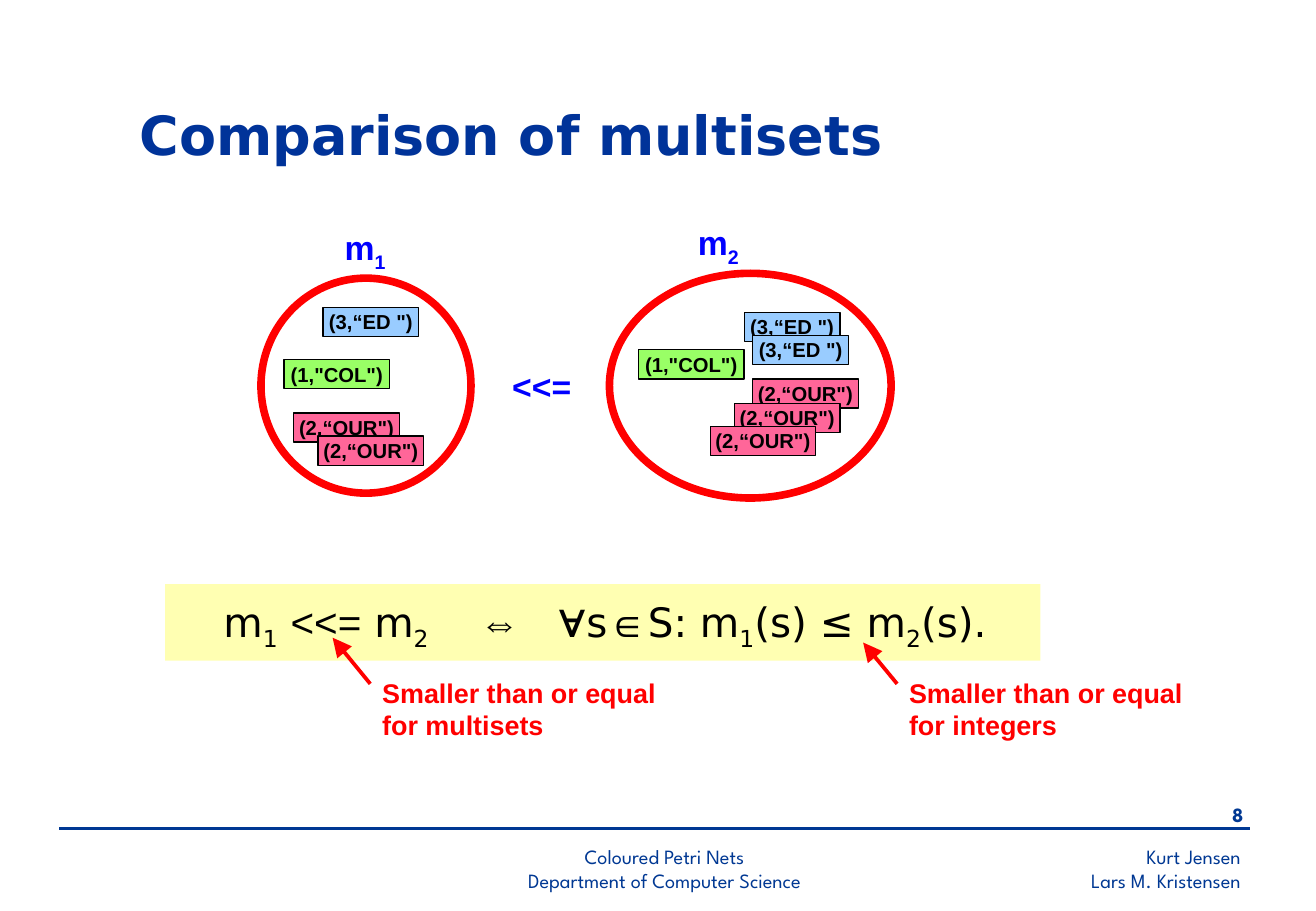
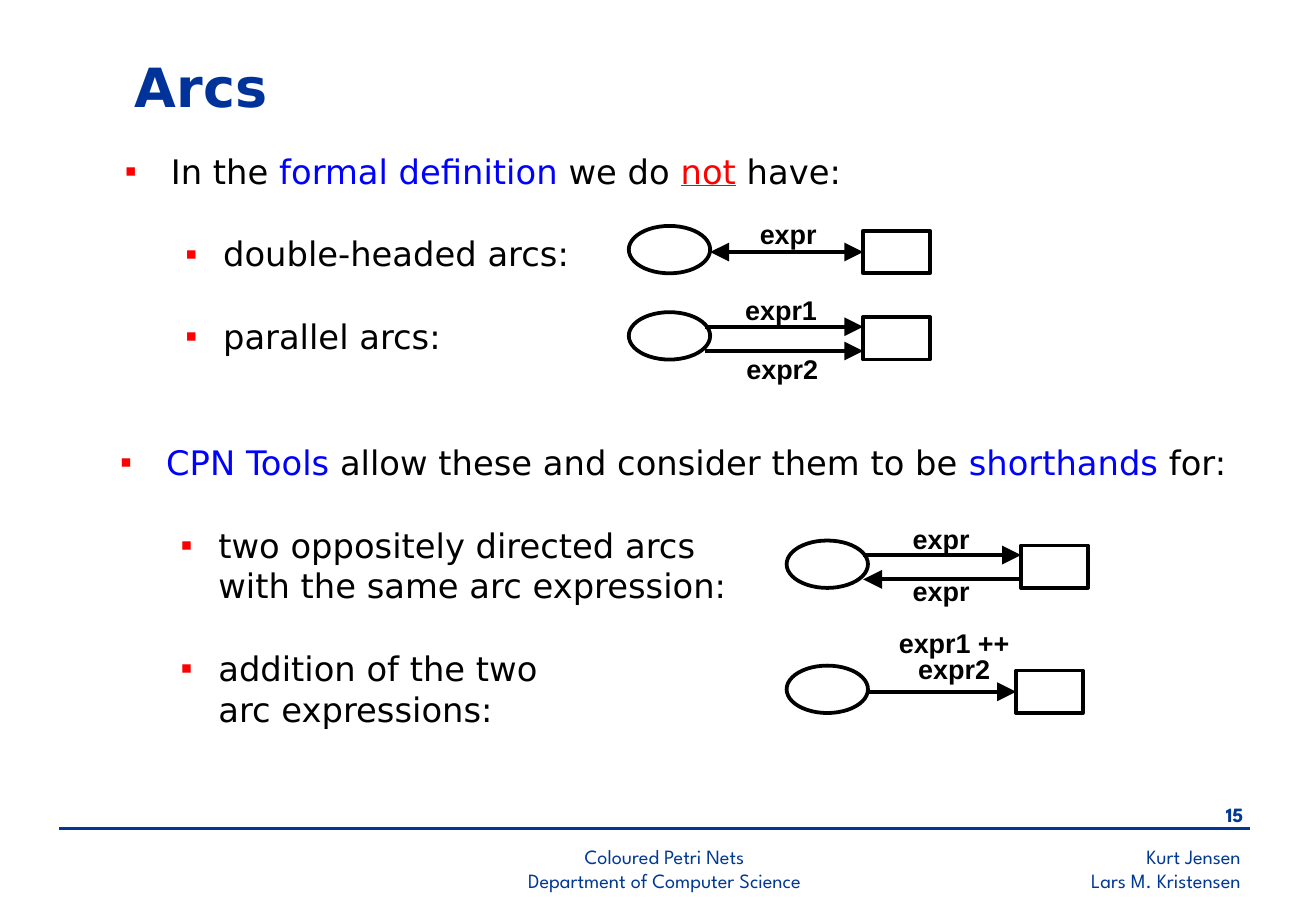
import dataclasses
import typing

import lxml.etree
import pptx
import pptx.dml.color
import pptx.enum.shapes
import pptx.enum.text
import pptx.oxml.ns
import pptx.util

SHAPE = pptx.enum.shapes.MSO_SHAPE
ALIGN = pptx.enum.text.PP_ALIGN
ANCHOR = pptx.enum.text.MSO_ANCHOR
qn = pptx.oxml.ns.qn

# Grid of square cells, 0.1 inch each: 108.4 columns by 75 rows
COLS, ROWS = 108.4, 75


@dataclasses.dataclass(frozen=True)
class Theme:
    navy: str = "003893"
    head: str = "003399"
    blue: str = "0000FF"
    red: str = "FF0000"
    black: str = "000000"
    lemon: str = "FFFF66"
    green: str = "99FF66"
    pink: str = "FF6699"
    sky: str = "99CCFF"
    sans: str = "DejaVu Sans"
    label: str = "Arial"
    foot: str = "League Spartan"
    title_size: int = 32
    rule_size: int = 24
    text_size: int = 20
    note_size: int = 16
    small_size: int = 12


T = Theme()
TITLE = dict(name=T.sans, size=T.title_size, bold=True, ink=T.head)
FOOT = dict(name=T.foot, size=T.small_size, ink=T.navy)
TOKEN = dict(name=T.label, size=T.small_size, bold=True, ink=T.black)
SIGN = dict(name=T.label, size=T.text_size, bold=True, ink=T.blue)
NOTE = dict(name=T.label, size=T.note_size, bold=True, ink=T.red)
EXPR = NOTE | dict(ink=T.black)
LIST = dict(name=T.sans, size=T.text_size, ink=T.black)
RULE = dict(name=T.sans, size=T.rule_size, ink=T.black)
SUB = dict(base=-25000)


class Box(typing.NamedTuple):
    x: float
    y: float
    w: float
    h: float


class Run(typing.NamedTuple):
    text: str
    fmt: dict[str, typing.Any] = {}


class Kind(typing.NamedTuple):
    text: str
    width: float
    fill: str


class Token(typing.NamedTuple):
    kind: Kind
    x: float
    y: float


class Bag(typing.NamedTuple):
    ring: Box
    digit: str
    name: Box
    tokens: list[Token]


class Call(typing.NamedTuple):
    text: str
    x: float
    tip: tuple[float, float]


class Arc(typing.NamedTuple):
    """An arc of a net; without a row it runs between the middles."""
    row: float | None = None
    head: bool = False
    tail: bool = True


class Tag(typing.NamedTuple):
    text: str
    box: Box
    fmt: dict[str, typing.Any] = {}


class Net(typing.NamedTuple):
    x: float
    y: float
    arcs: list[Arc]
    tags: list[Tag]
    gap: float = 19.3


def cell(count: float) -> pptx.util.Length:
    return pptx.util.Inches(round(count / 10, 3))


def place(box: Box) -> list[pptx.util.Length]:
    return [cell(side) for side in box]


def tint(code: str) -> pptx.dml.color.RGBColor:
    return pptx.dml.color.RGBColor.from_string(code)


def add(parent, tag: str, **attrs: str):
    node = lxml.etree.SubElement(parent, qn(tag))
    for key, value in attrs.items():
        node.set(key, value)
    return node


def style(run, fmt: dict[str, typing.Any]) -> None:
    for key, value in fmt.items():
        if key == "ink":
            run.font.color.rgb = tint(value)
        elif key == "base":
            run.font._element.set("baseline", str(value))
        else:
            setattr(run.font, key, pptx.util.Pt(value) if key == "size" else value)


def write(para, runs: list[Run], fmt: dict[str, typing.Any], **form) -> None:
    for key, value in form.items():
        setattr(para, key, value)
    for item in runs:
        for row, text in enumerate(item.text.split("\n")):
            if row:
                para.add_line_break()
            run = para.add_run()
            run.text = text
            style(run, fmt | item.fmt)


def text_box(shapes, box: Box, lines: list[list[Run]], fmt: dict, **form):
    frame = shapes.add_textbox(*place(box)).text_frame
    frame.word_wrap = True
    for row, runs in enumerate(lines):
        para = frame.add_paragraph() if row else frame.paragraphs[0]
        write(para, runs, fmt, **form)
    return frame


def shape(shapes, kind, box: Box, fill: str | None, ink: str | None, width: float = 0):
    item = shapes.add_shape(kind, *place(box))
    item.shadow.inherit = False
    if fill:
        item.fill.solid()
        item.fill.fore_color.rgb = tint(fill)
    else:
        item.fill.background()
    if ink:
        item.line.color.rgb = tint(ink)
        item.line.width = pptx.util.Pt(width)
    else:
        item.line.fill.background()
    return item


def line(shapes, start, end, ink: str, width: float, head=False, tail=False):
    item = shapes.add_connector(pptx.enum.shapes.MSO_CONNECTOR.STRAIGHT,
                                *map(cell, (*start, *end)))
    item.line.color.rgb = tint(ink)
    item.line.width = pptx.util.Pt(width)
    form = item._element.spPr
    for tag, shown in (("a:headEnd", head), ("a:tailEnd", tail)):
        if shown:
            add(form.find(qn("a:ln")), tag, type="triangle", w="lg", len="lg")
    add(form, "a:effectLst")
    return item


def new_slide(deck, title: str, box: Box, page: int):
    """Add a slide with its title, footer rule, footer text and page number."""
    slide = deck.slides.add_slide(deck.slide_layouts[5])
    head = slide.shapes.title
    head.left, head.top, head.width, head.height = place(box)
    head.text_frame.vertical_anchor = ANCHOR.MIDDLE
    write(head.text_frame.paragraphs[0], [Run(title)], TITLE, alignment=ALIGN.LEFT)
    line(slide.shapes, (4.9, 68.2), (103, 68.2), T.navy, 1.5)
    text_box(slide.shapes, Box(96.3, 65.6, 7.1, 3.3), [[Run(str(page))]],
             FOOT | dict(bold=True), alignment=ALIGN.RIGHT)
    for box, lines, side in (
        (Box(34.1, 69, 41.3, 4.7),
         ("Coloured Petri Nets", "Department of Computer Science"), ALIGN.CENTER),
        (Box(69.5, 69, 33.7, 5), ("Kurt Jensen", "Lars M. Kristensen"), ALIGN.RIGHT),
    ):
        text_box(slide.shapes, box, [[Run(text)] for text in lines], FOOT, alignment=side)
    return slide


# Slide on multisets

COL = Kind('(1,"COL")', 8.7, T.green)
OUR = Kind('(2,“OUR")', 8.7, T.pink)
ED = Kind('(3,“ED ")', 7.9, T.sky)
BAGS = [
    Bag(Box(50.2, 22.5, 23.2, 18.5), "2", Box(56.5, 17.8, 6.3, 4.7),
        [Token(COL, 52.6, 28.8), Token(OUR, 62, 31.2), Token(ED, 61.3, 25.7),
         Token(OUR, 60.5, 33.2), Token(ED, 62, 27.6), Token(OUR, 58.5, 35.1)]),
    Bag(Box(21.5, 22.9, 17.3, 17.7), "1", Box(27.4, 18.2, 6.3, 4.7),
        [Token(COL, 23.4, 29.6), Token(OUR, 24.2, 34), Token(OUR, 26.2, 35.9),
         Token(ED, 26.6, 25.3)]),
]
CALLS = [Call("Smaller than or equal for multisets", 30.5, (27.4, 52.5)),
         Call("Smaller than or equal for integers", 73.9, (71.1, 52.9))]
ARIAL = dict(name=T.label)
FORM = [Run("m"), Run("1", SUB), Run(" "), Run("<<=", ARIAL), Run(" m"), Run("2", SUB),
        Run("\t⇔\t", ARIAL), Run("∀", ARIAL | dict(size=28)), Run("s"), Run("∈", ARIAL),
        Run("S: m"), Run("1", SUB), Run("(s) ≤ m"), Run("2", SUB), Run("(s).")]


def draw_bag(shapes, bag: Bag) -> None:
    for kind, x, y in bag.tokens:
        card = shape(shapes, SHAPE.RECTANGLE, Box(x, y, kind.width, 2.4),
                     kind.fill, T.black, 0.75)
        card.text_frame.word_wrap = False
        card.text_frame.vertical_anchor = ANCHOR.MIDDLE
        write(card.text_frame.paragraphs[0], [Run(kind.text)], TOKEN,
              alignment=ALIGN.CENTER)
    shape(shapes, SHAPE.OVAL, bag.ring, None, T.red, 4.5)
    text_box(shapes, bag.name, [[Run("m"), Run(bag.digit, SUB)]], SIGN)


def draw_sets(deck) -> None:
    shapes = new_slide(deck, "Comparison of multisets", Box(10.5, 7.6, 83.1, 6.9), 8).shapes
    # Formula band, half transparent, with tab stops around the arrow
    band = shape(shapes, SHAPE.RECTANGLE, Box(13.6, 48.1, 72.1, 6.3), T.lemon, None)
    add(band._element.spPr.find(qn("a:solidFill"))[0], "a:alpha", val="50000")
    band.text_frame.margin_left = cell(4.8)
    band.text_frame.vertical_anchor = ANCHOR.TOP
    para = band.text_frame.paragraphs[0]
    tabs = add(para._p.get_or_add_pPr(), "a:tabLst")
    for stop in (21.1, 27.6):
        add(tabs, "a:tab", pos=str(int(cell(stop))), algn="l")
    write(para, FORM, RULE, alignment=ALIGN.LEFT)
    # The two multisets and the sign between them
    for bag in BAGS:
        draw_bag(shapes, bag)
    text_box(shapes, Box(41.2, 29.6, 7.8, 4.7), [[Run("<<=")]], SIGN)
    # Notes with arrows into the formula
    for call in CALLS:
        line(shapes, (call.x, 56.3), call.tip, T.red, 2.25, tail=True)
        text_box(shapes, Box(call.x, 55.2, 27.6, 6.4), [[Run(call.text)]], NOTE)


# Slide on arcs

BLUE, RED = dict(ink=T.blue), dict(ink=T.red, underline=True)
LISTS = [
    (Box(9.3, 11.9, 88.6, 16.9),
     [[Run("In the "), Run("formal definition", BLUE), Run(" we do "),
       Run("not", RED), Run(" have:")],
      [Run("double-headed arcs:")], [Run("parallel arcs:")]]),
    (Box(8.9, 35.9, 99.2, 26.4),
     [[Run("CPN Tools", BLUE), Run(" allow these and consider them to be "),
       Run("shorthands", BLUE), Run(" for:")],
      [Run("two oppositely directed arcs\nwith the same arc expression:")],
      [Run("addition of the two\narc expressions:")]]),
]
# Places of tags are counted from the corner of their net
NETS = [
    Net(51.8, 18.6, [Arc(head=True)], [Tag("expr", Box(9.8, -1.2, 7.1, 3.7))]),
    Net(51.8, 25.7, [Arc(1.2), Arc(3.2)],
        [Tag("expr1", Box(8.6, -2, 8.3, 3.7)), Tag("expr2", Box(8.7, 2.8, 8.3, 3.7))]),
    Net(64.8, 44.5, [Arc(1.2), Arc(3.2, head=True, tail=False)],
        [Tag("expr", Box(9.4, -2, 8.3, 3.7)), Tag("expr", Box(9.4, 2.3, 8.3, 3.7))]),
    Net(64.8, 54.8, [Arc()],
        [Tag("expr1 ++\nexpr2", Box(7.3, -3.2, 13, 5.3),
             dict(alignment=ALIGN.CENTER, line_spacing=0.8))], gap=18.9),
]


def draw_list(shapes, box: Box, lines: list[list[Run]]) -> None:
    frame = text_box(shapes, box, lines, LIST)
    for row, para in enumerate(frame.paragraphs):
        left, hang = (8.1, 3.1) if row else (3.8, 3.8)
        if row:
            para.level = 1
            para.space_before = pptx.util.Pt(25)
        form = para._p.get_or_add_pPr()
        form.set("marL", str(int(cell(left))))
        form.set("indent", str(-int(cell(hang))))
        add(add(form, "a:buClr"), "a:srgbClr", val=T.red)
        add(form, "a:buFont", typeface=T.label)
        add(form, "a:buChar", char="▪")


def draw_net(shapes, net: Net) -> None:
    group = shapes.add_group_shape().shapes
    shape(group, SHAPE.OVAL, Box(net.x, net.y, 6.7, 3.9), None, T.black, 2.25)
    side = net.x + net.gap
    block = shape(group, SHAPE.RECTANGLE, Box(side, net.y + 0.4, 5.5, 3.5),
                  None, T.black, 2.25)
    for arc in net.arcs:
        mid = arc.row is None
        y = net.y + (2.15 if mid else arc.row)
        link = line(group, (net.x + (6.7 if mid else 6.3), y), (side, y),
                    T.black, 2.25, arc.head, arc.tail)
        if mid:
            link.end_connect(block, 1)
    for text, box, form in net.tags:
        spot = box._replace(x=net.x + box.x, y=net.y + box.y)
        text_box(group, spot, [[Run(text)]], EXPR, **form)


def draw_arcs(deck) -> None:
    shapes = new_slide(deck, "Arcs", Box(10.1, 3.6, 38.2, 6.9), 15).shapes
    for box, lines in LISTS:
        draw_list(shapes, box, lines)
    for net in NETS:
        draw_net(shapes, net)


def main() -> None:
    deck = pptx.Presentation()
    deck.slide_width, deck.slide_height = cell(COLS), cell(ROWS)
    draw_sets(deck)
    draw_arcs(deck)
    deck.save("out.pptx")


if __name__ == "__main__":
    main()
